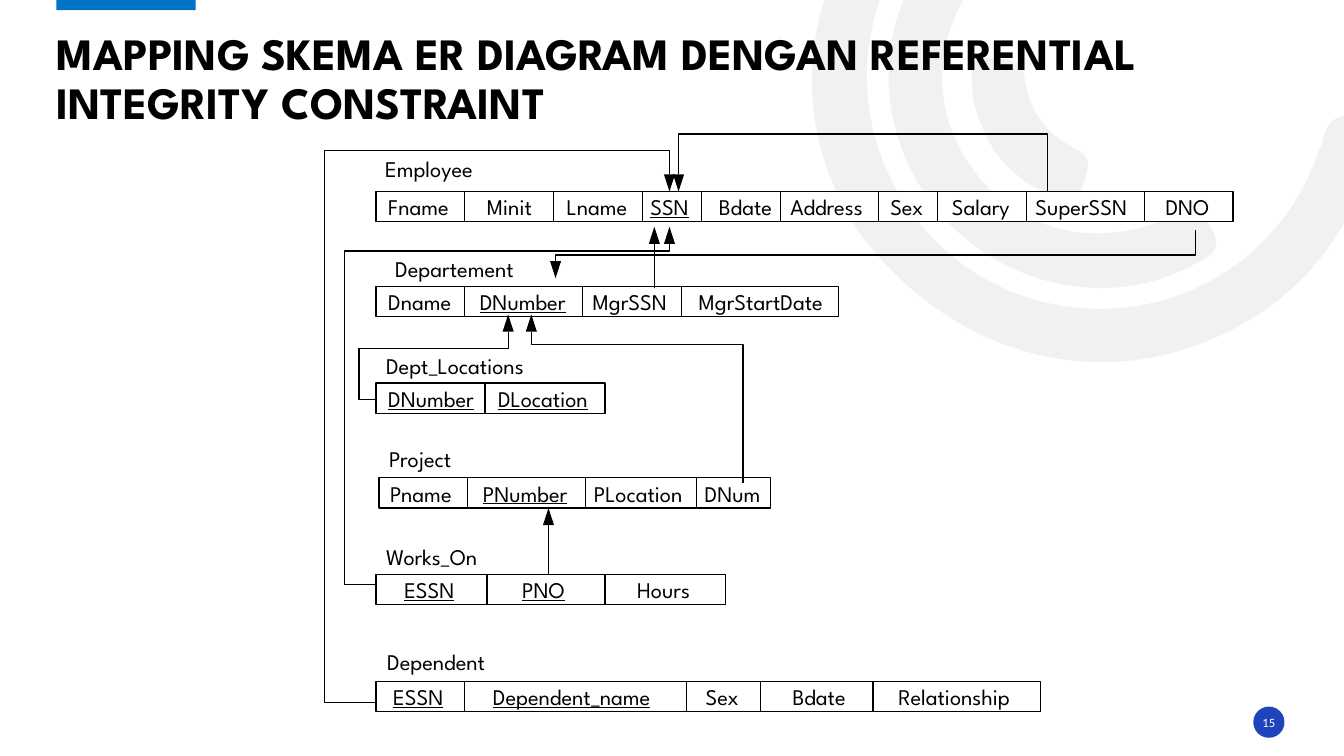
from dataclasses import dataclass

from lxml import etree
from pptx import Presentation
from pptx import util as u
from pptx.dml.color import RGBColor
from pptx.enum import shapes, text
from pptx.oxml.ns import qn

PX = 9144


@dataclass(frozen=True)
class Theme:
    ink: str = "000000"
    paper: str = "FFFFFF"
    ring: str = "E7E6E6"
    bar: str = "0072C7"
    badge: str = "1E44BC"
    font: str = "League Spartan"
    number_font: str = "Calibri"
    title_size: int = 32
    body_size: int = 16
    number_size: int = 9
    line: float = 0.87


THEME = Theme()

RINGS = [
    [(851, 229), (799, 149), (787, 50), (838, -50), (890, -152), (976, -203), (1090, -207),
     (1105, -207), (1121, -210), (1131, -195), (1144, -175), (1127, -154), (1098, -154),
     (967, -154), (865, -59), (860, 68), (856, 181), (936, 281), (1046, 302),
     (1160, 324), (1270, 261), (1307, 152), (1309, 148), (1311, 144), (1312, 140),
     (1316, 119), (1327, 111), (1349, 117), (1373, 124), (1367, 141), (1361, 156),
     (1334, 245), (1278, 307), (1191, 341), (1070, 387), (936, 345), (851, 229)],
    [(922, 199), (862, 115), (869, 7), (940, -68), (951, -79), (962, -95), (980, -78),
     (995, -64), (997, -50), (979, -32), (925, 26), (920, 108), (965, 168),
     (1008, 229), (1088, 249), (1161, 215), (1182, 205), (1193, 212), (1203, 229),
     (1213, 250), (1197, 256), (1183, 263), (1096, 310), (983, 282), (922, 199)],
    [(987, 151), (975, 130), (964, 107), (964, 82), (964, 73), (961, 57), (976, 58),
     (992, 59), (1013, 53), (1016, 76), (1021, 110), (1036, 132), (1067, 148),
     (1088, 157), (1076, 176), (1072, 189), (1068, 206), (1055, 198), (1045, 194),
     (1021, 187), (1003, 170), (987, 151)],
]

RELATIONS = [
    ("Employee", (51, 57), (9, -36),
     [("Fname", 88, 12, False), ("Minit", 88, 22, False), ("Lname", 88, 13, False),
      ("SSN", 59, 8, True), ("Bdate", 78, 17, False), ("Address", 97, 10, False),
      ("Sex", 59, 12, False), ("Salary", 88, 14, False), ("SuperSSN", 117, 9, False),
      ("DNO", 88, 21, False)]),
    ("Departement", (51, 151), (19, -31),
     [("Dname", 88, 12, False), ("DNumber", 117, 15, True), ("MgrSSN", 98, 10, False),
      ("MgrStartDate", 156, 17, False)]),
    ("Dept_Locations", (51, 247), (10, -31),
     [("DNumber", 108, 12, True), ("DLocation", 119, 13, True)]),
    ("Project", (54, 341), (10, -32),
     [("Pname", 88, 11, False), ("PNumber", 117, 15, True), ("PLocation", 110, 8, False),
      ("DNum", 73, 8, False)]),
    ("Works_On", (51, 437), (10, -31),
     [("ESSN", 110, 28, True), ("PNO", 117, 35, True), ("Hours", 120, 32, False)]),
    ("Dependent", (51, 543), (11, -33),
     [("ESSN", 88, 17, True), ("Dependent_name", 220, 28, True), ("Sex", 73, 19, False),
      ("Bdate", 112, 32, False), ("Relationship", 166, 25, False)]),
]

LINKS = [
    [(222, 437), (222, 371)],
    [(51, 564), (0, 564), (0, 16), (342, 16), (342, 57)],
    [(51, 447), (20, 447), (20, 116), (342, 116), (342, 92)],
    [(415, 346), (415, 209), (205, 209), (205, 179)],
    [(51, 263), (34, 263), (34, 213), (182, 213), (182, 179)],
    [(327, 153), (327, 92)],
    [(864, 95), (864, 120), (229, 120), (229, 143)],
    [(717, 57), (717, 0), (351, 0), (351, 57)],
]


def emu(values):
    return [round(value * PX) for value in values]


def color(name):
    return RGBColor.from_string(name)


def write(shape, words, size=THEME.body_size, font=THEME.font, ink=THEME.ink, bold=False,
          underline=False, align=text.PP_ALIGN.LEFT, anchor=text.MSO_ANCHOR.TOP,
          margins=(0, 0), spacing=None):
    frame = shape.text_frame
    frame.word_wrap = True
    frame.auto_size = text.MSO_AUTO_SIZE.NONE
    frame.vertical_anchor = anchor
    frame.margin_left, frame.margin_top = emu(margins)
    frame.margin_right = frame.margin_bottom = 0
    para = frame.paragraphs[0]
    para.alignment = align
    para.line_spacing = spacing
    span = para.add_run()
    span.text = words
    span.font.name, span.font.size = font, u.Pt(size)
    span.font.bold, span.font.underline = bold, underline
    span.font.color.rgb = color(ink)


def paint(shape, fill=None, line=None):
    shape.shadow.inherit = False
    if fill:
        shape.fill.solid()
        shape.fill.fore_color.rgb = color(fill)
    else:
        shape.fill.background()
    if line:
        shape.line.color.rgb = color(line)
        shape.line.width = u.Pt(THEME.line)
    else:
        shape.line.fill.background()


def add_block(page, kind, box, fill, line=None):
    shape = page.shapes.add_shape(kind, *emu(box))
    paint(shape, fill, line)
    return shape


def add_outline(page, points, closed):
    corners = [tuple(emu(point)) for point in points]
    builder = page.shapes.build_freeform(*corners[0], scale=1.0)
    builder.add_line_segments(corners[1:], close=closed)
    return builder.convert_to_shape()


def bend(shape):
    segments = list(shape._element.spPr.iter(qn("a:lnTo")))
    for first in range(0, len(segments), 3):
        arc = etree.Element(qn("a:cubicBezTo"))
        segments[first].addprevious(arc)
        for segment in segments[first:first + 3]:
            arc.append(segment[0])
            segment.getparent().remove(segment)


def backdrop(page, box):
    left, top = box[:2]
    for points in RINGS:
        ring = add_outline(page, [(left + x, top + y) for x, y in points], True)
        bend(ring)
        paint(ring, THEME.ring)
        tint = ring._element.spPr.find(".//" + qn("a:srgbClr"))
        etree.SubElement(tint, qn("a:alpha"), val="53000")
    add_block(page, shapes.MSO_SHAPE.RECTANGLE, (left + 56, top - 2, 138, 12), THEME.bar)


def heading(page, box, words):
    title = page.shapes.title
    title.left, title.top, title.width, title.height = emu(box)
    write(title, words, size=THEME.title_size, bold=True, anchor=text.MSO_ANCHOR.BOTTOM,
          spacing=0.9)
    page.shapes._spTree.append(title._element)


def relation(page, box, name, label_offset, cells):
    left, top, _, height = box
    across, down = label_offset
    label = page.shapes.add_textbox(*emu((left + across, top + down, 170, 27)))
    write(label, name)
    for words, width, indent, key in cells:
        cell = add_block(page, shapes.MSO_SHAPE.RECTANGLE, (left, top, width, height),
                         THEME.paper, THEME.ink)
        write(cell, words, underline=key, margins=(indent, 2))
        left += width


def link(page, box, points):
    left, top = box[:2]
    route = [(left + x, top + y) for x, y in points]
    tip_x, tip_y = route[-1]
    back = 17 if tip_y < route[-2][1] else -17
    base = tip_y + back
    route[-1] = (tip_x, base)
    if len(route) == 2:
        line = page.shapes.add_connector(shapes.MSO_CONNECTOR.STRAIGHT,
                                         *emu(route[0] + route[1]))
        line.line.color.rgb = color(THEME.ink)
        line.line.width = u.Pt(THEME.line)
        etree.SubElement(line._element.spPr, qn("a:effectLst"))
    else:
        paint(add_outline(page, route, False), line=THEME.ink)
    corners = [(tip_x - 5.5, base), (tip_x, tip_y), (tip_x + 5.5, base)]
    paint(add_outline(page, corners, True), THEME.ink)


def diagram(page, box):
    left, top, width, _ = box
    for name, (x, y), label_offset, cells in RELATIONS:
        relation(page, (left + x, top + y, width - x, 30), name, label_offset, cells)
    for points in LINKS:
        link(page, box, points)


def page_badge(page, box, number):
    badge = add_block(page, shapes.MSO_SHAPE.OVAL, box, THEME.badge)
    write(badge, number, size=THEME.number_size, font=THEME.number_font, ink=THEME.paper,
          align=text.PP_ALIGN.CENTER, anchor=text.MSO_ANCHOR.MIDDLE)


def main():
    deck = Presentation()
    deck.slide_width, deck.slide_height = emu((1333, 750))
    page = deck.slides.add_slide(deck.slide_layouts[5])
    backdrop(page, (0, 0, 1333, 750))
    heading(page, (56, 27, 1219, 101),
            "MAPPING SKEMA ER DIAGRAM DENGAN REFERENTIAL INTEGRITY CONSTRAINT")
    diagram(page, (322, 133, 901, 573))
    page_badge(page, (1243, 701, 31, 31), "15")
    deck.save("out.pptx")


if __name__ == "__main__":
    main()
